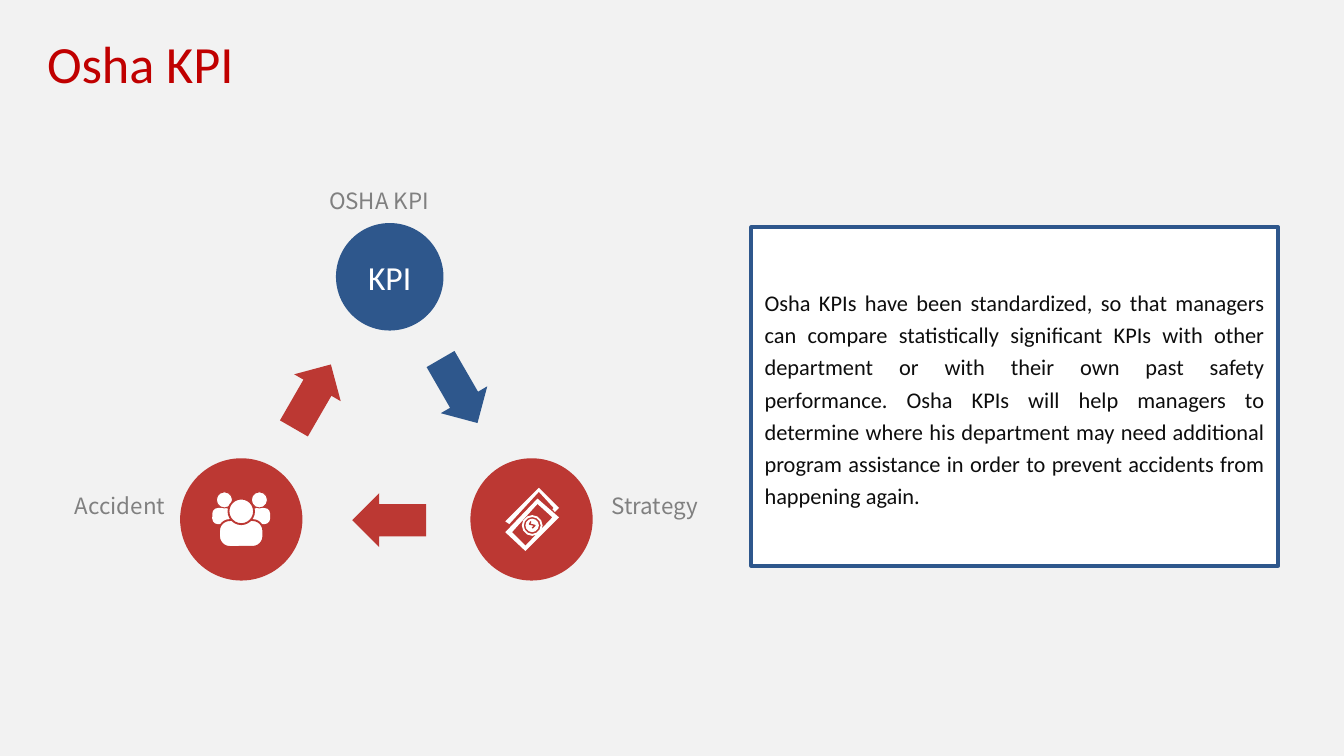
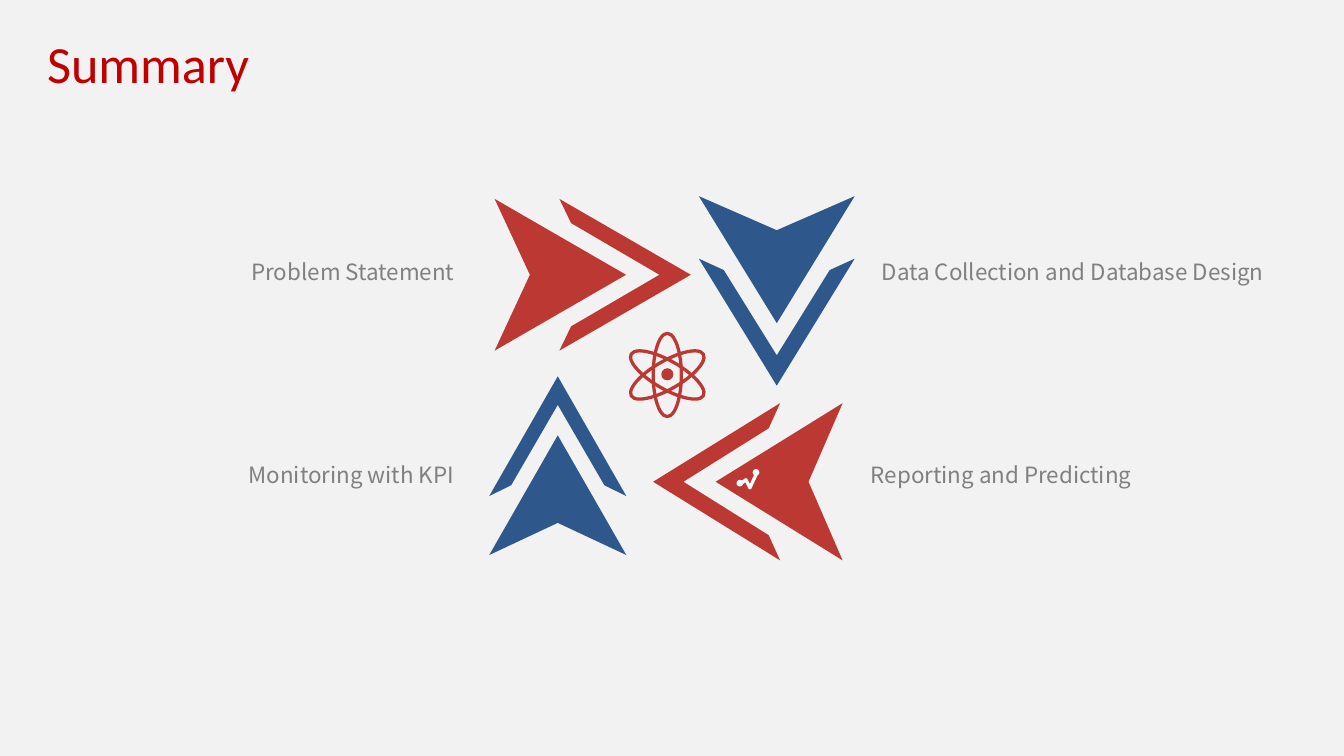
from pptx import Presentation
from pptx.dml.color import RGBColor
from pptx.enum.shapes import MSO_SHAPE
from pptx.enum.text import MSO_ANCHOR, MSO_AUTO_SIZE, PP_ALIGN
from pptx.util import Pt

PX = 9144  # EMU in one px, 100 px to the inch
SLIDE_W = 1000
SLIDE_H = SLIDE_W * 9 / 16
TITLE_ONLY = 5

OVAL = MSO_SHAPE.OVAL
RECTANGLE = MSO_SHAPE.RECTANGLE
ROUNDED = MSO_SHAPE.ROUNDED_RECTANGLE
ARROW = MSO_SHAPE.RIGHT_ARROW
TOP, MIDDLE = MSO_ANCHOR.TOP, MSO_ANCHOR.MIDDLE
LEFT, CENTER = PP_ALIGN.LEFT, PP_ALIGN.CENTER
RIGHT, JUSTIFY = PP_ALIGN.RIGHT, PP_ALIGN.JUSTIFY
NO_FIT, GROW = MSO_AUTO_SIZE.NONE, MSO_AUTO_SIZE.SHAPE_TO_FIT_TEXT

COLORS = {
    "background": "F2F2F2",
    "title": "C00000",
    "blue": "2E578C",
    "red": "BC3833",
    "white": "FFFFFF",
    "label": "808080",
    "body": "0D0D0D",
}
BODY_FONT = "Calibri"
LABEL_FONT = "Noto Sans CJK SC"

# Outlines as (along, across) shares of the box, pointing forward
DART = [(0, 0), (0.67, 0.5), (0, 1), (0.18, 0.5)]
CHEVRON = [(0.33, 0), (0.39, 0.16), (0.84, 0.5), (0.39, 0.84), (0.33, 1), (1, 0.5)]
DIRECTIONS = {
    "right": lambda along, across: (along, across),
    "left": lambda along, across: (1 - along, across),
    "down": lambda along, across: (across, along),
    "up": lambda along, across: (across, 1 - along),
}

OSHA_TEXT = (
    "Osha KPIs have been standardized, so that managers can compare "
    "statistically significant KPIs with other department or with their own "
    "past safety performance. Osha KPIs will help managers to determine where "
    "his department may need additional program assistance in order to prevent "
    "accidents from happening again."
)


def color(name):
    return RGBColor.from_string(COLORS[name])


def emu(*lengths):
    return [round(length * PX) for length in lengths]


def paint(shape, fill=None, line=None, width=1):
    shape.shadow.inherit = False
    if fill:
        shape.fill.solid()
        shape.fill.fore_color.rgb = color(fill)
    else:
        shape.fill.background()
    if line:
        shape.line.color.rgb = color(line)
        shape.line.width = Pt(width)
    else:
        shape.line.fill.background()
    return shape


def add_preset(slide, preset, box, fill=None, line=None, width=1, rotation=0):
    shape = slide.shapes.add_shape(preset, *emu(*box))
    shape.rotation = rotation
    return paint(shape, fill, line, width)


def add_outline(slide, origin, contours, fill=None, line=None, width=1):
    """Draw contours given in px from origin; a second contour cuts a hole."""
    left, top = origin
    placed = [[emu(left + x, top + y) for x, y in points] for points in contours]
    builder = slide.shapes.build_freeform(*placed[0][0])
    for index, points in enumerate(placed):
        if index:
            builder.move_to(*points[0])
        builder.add_line_segments(points[1:], close=bool(fill))
    return paint(builder.convert_to_shape(), fill, line, width)


def write(shape, text, size, text_color, font=BODY_FONT, align=LEFT, anchor=TOP,
          spacing=None, fit=NO_FIT, wrap=True, insets=(10, 5, 10, 5)):
    frame = shape.text_frame
    frame.word_wrap = wrap
    frame.auto_size = fit
    frame.vertical_anchor = anchor
    (frame.margin_left, frame.margin_top,
     frame.margin_right, frame.margin_bottom) = emu(*insets)
    paragraph = frame.paragraphs[0]
    paragraph.alignment = align
    if spacing:
        paragraph.line_spacing = spacing
    run = paragraph.add_run()
    run.text = text
    run.font.name = font
    run.font.size = Pt(size)
    run.font.color.rgb = color(text_color)


def add_label(slide, text, box, **style):
    write(slide.shapes.add_textbox(*emu(*box)), text, 12, "label", LABEL_FONT, **style)


def add_titled_slide(prs, text):
    slide = prs.slides.add_slide(prs.slide_layouts[TITLE_ONLY])
    title = slide.shapes.title
    title.left, title.top, title.width, title.height = emu(25, 18, 347, 57)
    write(title, text, 28, "title")
    return slide


def draw_people(slide, left, top):
    """Three people, the middle one in front, on a red disc."""
    for body_x, head_x in ((24, 27), (53, 53)):
        body = add_preset(slide, ROUNDED, (left + body_x, top + 37, 14, 12), "white")
        body.adjustments[0] = 0.35
        add_preset(slide, OVAL, (left + head_x, top + 25, 12, 12), "white", "red", 0.5)
    front_body = add_preset(slide, ROUNDED, (left + 29, top + 46, 33, 20), "white", "red")
    front_body.adjustments[0] = 0.4
    add_preset(slide, OVAL, (left + 36, top + 30, 19, 19), "white", "red")


def draw_banknotes(slide, left, top):
    origin = left, top
    back_note = [(26, 47), (29, 49), (51, 25), (62, 37), (61, 38),
                 (63, 40), (66, 37), (51, 22)]
    front_note = [(41, 69), (66, 44), (50, 30), (26, 55)]
    window = [(50, 34), (61, 44), (41, 65), (31, 55)]
    dollar_curve = [(45, 47), (44, 49), (48, 50), (46, 52)]
    add_outline(slide, origin, [back_note], "white")
    add_outline(slide, origin, [front_note, window], "white")
    add_preset(slide, OVAL, (left + 39, top + 43, 14, 14), line="white")
    add_preset(slide, OVAL, (left + 41, top + 45, 10, 10), "white")
    add_outline(slide, origin, [dollar_curve], line="red", width=0.75)


def draw_kpi_cycle(slide, left, top):
    for x, y, rotation, fill in ((278, 137, 60, "blue"), (226, 233, 180, "red"),
                                 (169, 141, 300, "red")):
        arrow = add_preset(slide, ARROW, (left + x, top + y, 55, 40), fill,
                           rotation=rotation)
        arrow.adjustments[0] = 0.6
        arrow.adjustments[1] = 0.5

    kpi = add_preset(slide, OVAL, (left + 214, top + 32, 80, 80), "blue")
    write(kpi, "KPI", 18, "white", align=CENTER, anchor=MIDDLE)
    for x, draw_icon in ((98, draw_people), (314, draw_banknotes)):
        add_preset(slide, OVAL, (left + x, top + 207, 91, 91), "red")
        draw_icon(slide, left + x, top + 207)

    add_label(slide, "OSHA KPI", (left + 199, top, 103, 25), wrap=False)
    add_label(slide, "Strategy", (left + 380, top + 227, 126, 25), wrap=False,
              insets=(39, 5, 10, 5))
    add_label(slide, "Accident", (left, top + 227, 126, 25), wrap=False,
              align=RIGHT, insets=(10, 5, 39, 5))


def draw_explanation(slide, box):
    panel = add_preset(slide, RECTANGLE, box, "white", "blue", 2)
    write(panel, OSHA_TEXT, 12, "body", align=JUSTIFY, anchor=MIDDLE, spacing=1.2)


def draw_dart_pair(slide, box, direction, fill):
    left, top, width, height = box
    turn = DIRECTIONS[direction]
    for shares in (DART, CHEVRON):
        turned = [turn(*share) for share in shares]
        points = [(x * width, y * height) for x, y in turned]
        add_outline(slide, (left, top), [points], fill)


def draw_atom(slide, left, top):
    for rotation in (0, 60, 300):
        add_preset(slide, OVAL, (left + 21, top + 1, 21, 62), line="red", width=1.75,
                   rotation=rotation)
    add_preset(slide, OVAL, (left + 27, top + 27, 9, 9), "red")


def draw_trend(slide, left, top):
    trend = [(3, 11), (7, 8), (10, 14), (15, 3)]
    add_outline(slide, (left, top), [trend], line="white", width=1.75)
    for x, y in (trend[0], trend[-1]):
        add_preset(slide, OVAL, (left + x - 3, top + y - 3, 5, 5), "white")


def draw_summary_wheel(slide, left, top):
    steps = [
        ("Problem Statement", (2, 36, 219, 31), (190, 2, 146, 113), "right", "red"),
        ("Data Collection and Database Design", (471, 36, 316, 31),
         (342, 0, 116, 141), "down", "blue"),
        ("Reporting and Predicting", (463, 187, 232, 31),
         (308, 154, 141, 117), "left", "red"),
        ("Monitoring with KPI", (0, 187, 219, 31), (186, 134, 102, 133), "up", "blue"),
    ]
    for text, label_box, pair_box, direction, fill in steps:
        (label_x, label_y, *label_size), (pair_x, pair_y, *pair_size) = label_box, pair_box
        draw_dart_pair(slide, (left + pair_x, top + pair_y, *pair_size), direction, fill)
        add_label(slide, text, (left + label_x, top + label_y, *label_size),
                  align=JUSTIFY, spacing=1.3, fit=GROW, insets=(7, 4, 7, 4))
    draw_atom(slide, left + 287, top + 101)
    draw_trend(slide, left + 370, top + 203)


def build_osha_kpi(prs):
    slide = add_titled_slide(prs, "Osha KPI")
    draw_kpi_cycle(slide, 36, 134)
    draw_explanation(slide, (559, 169, 392, 252))


def build_summary(prs):
    slide = add_titled_slide(prs, "Summary")
    draw_summary_wheel(slide, 178, 146)


def main():
    prs = Presentation()
    prs.slide_width, prs.slide_height = emu(SLIDE_W, SLIDE_H)
    background = prs.slide_master.background.fill
    background.solid()
    background.fore_color.rgb = color("background")
    build_osha_kpi(prs)
    build_summary(prs)
    prs.save("out.pptx")


if __name__ == "__main__":
    main()
